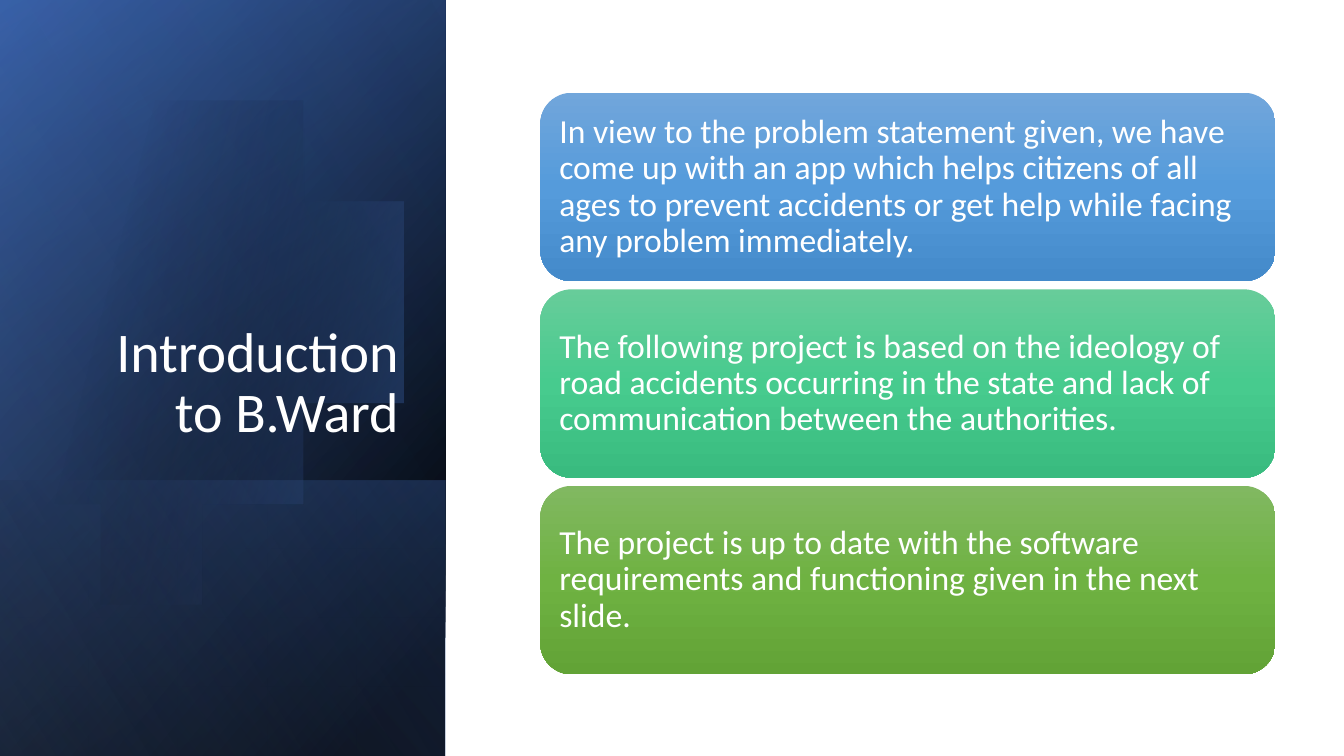
from dataclasses import dataclass
from math import acos, cos, pi, sin

from pptx import Presentation
from pptx.dml.color import RGBColor
from pptx.enum.shapes import MSO_SHAPE as Preset
from pptx.enum.text import MSO_ANCHOR as Anchor, PP_ALIGN as Align
from pptx.oxml import parse_xml
from pptx.oxml.ns import nsdecls
from pptx.shapes.autoshape import Shape
from pptx.slide import Slide
from pptx.util import Inches, Pt

PAGE_WIDTH, PAGE_HEIGHT = 13.33, 7.5
PANEL_WIDTH = 0.3315 * PAGE_WIDTH
CARD_LEFT, CARD_WIDTH = 0.402 * PAGE_WIDTH, 0.547 * PAGE_WIDTH
CARD_TOP, CARD_HEIGHT, CARD_STEP = (
    share * PAGE_HEIGHT for share in (0.1227, 0.2493, 0.26)
)
DISC_X, DISC_Y, DISC_RADIUS = (
    share * PAGE_HEIGHT for share in (0.192, 0.451, 0.304)
)
DISC_STEPS = 120


@dataclass
class Stop:
    position: int
    colour: str
    opacity: int = 100


@dataclass
class Layer:
    """A gradient sheet standing on the bottom edge of the left panel."""
    height_share: float
    angle: int
    stops: list[Stop]


@dataclass
class Card:
    colours: tuple[str, str, str]
    text: str


BACK_LAYERS = [
    Layer(1, 50, [Stop(8, "000000"), Stop(100, "2F5597")]),
    Layer(1, 30, [Stop(0, "000000", 0), Stop(99, "4472C4", 46)]),
    Layer(0.365, 130, [Stop(2, "4472C4", 29), Stop(100, "000000", 30)]),
]
DISC_STOPS = [Stop(29, "000000", 0), Stop(100, "4472C4", 43)]
FRONT_LAYER = Layer(1, 120, [Stop(0, "000000", 0), Stop(99, "8FAADC", 11)])

CARDS = [
    Card(("71A6DB", "559BDB", "448ACA"),
         "In view to the problem statement given, we have come up with an app "
         "which helps citizens of all ages to prevent accidents or get help "
         "while facing any problem immediately."),
    Card(("67CC9A", "47CB8E", "39BB7F"),
         "The following project is based on the ideology of road accidents "
         "occurring in the state and lack of communication between the "
         "authorities."),
    Card(("81B861", "6FB242", "62A336"),
         "The project is up to date with the software requirements and "
         "functioning given in the next slide."),
]


def paint(shape: Shape, stops: list[Stop], angle: float) -> None:
    """Give the shape a linear gradient, no line and no shadow."""
    shape.shadow.inherit = False
    shape.line.fill.background()
    stop_xml = "".join(
        f'<a:gs pos="{stop.position * 1000}"><a:srgbClr val="{stop.colour}">'
        f'<a:alpha val="{stop.opacity * 1000}"/></a:srgbClr></a:gs>'
        for stop in stops
    )
    gradient = parse_xml(
        f'<a:gradFill {nsdecls("a")} rotWithShape="1"><a:gsLst>{stop_xml}'
        f'</a:gsLst><a:lin ang="{round(angle * 60000)}" scaled="0"/></a:gradFill>'
    )
    shape.fill.background()
    properties = shape.element.spPr
    properties.replace(properties.find("{*}noFill"), gradient)


def write(shape: Shape, text: str, *, size: int, anchor: Anchor,
          align: Align = Align.LEFT, inset: float = 0.1,
          colour: str = "FFFFFF") -> None:
    frame = shape.text_frame
    frame.word_wrap = True
    frame.vertical_anchor = anchor
    frame.margin_left = frame.margin_right = Inches(0.1)
    frame.margin_top = frame.margin_bottom = Inches(inset)
    para = frame.paragraphs[0]
    para.alignment = align
    para.line_spacing = 0.9
    span = para.add_run()
    span.text = text
    span.font.name = "Calibri"
    span.font.size = Pt(size)
    span.font.color.rgb = RGBColor.from_string(colour)


def add_layer(page: Slide, layer: Layer) -> None:
    """Add a mirrored rectangle turned by 90 degrees, so its sides swap."""
    length = layer.height_share * PAGE_HEIGHT
    left = (PANEL_WIDTH - length) / 2
    top = PAGE_HEIGHT - (length + PANEL_WIDTH) / 2
    sheet = page.shapes.add_shape(
        Preset.RECTANGLE, Inches(left), Inches(top),
        Inches(length), Inches(PANEL_WIDTH))
    sheet.rotation = 90
    sheet.element.spPr.xfrm.set("flipH", "1")
    paint(sheet, layer.stops, layer.angle)


def add_disc(page: Slide) -> None:
    """Add the circle that the left edge of the slide cuts off."""
    reach = acos(-DISC_X / DISC_RADIUS)
    angles = [reach * (2 * step / DISC_STEPS - 1) for step in range(DISC_STEPS + 1)]
    points = [(DISC_X + DISC_RADIUS * cos(angle), DISC_Y + DISC_RADIUS * sin(angle))
              for angle in angles]
    builder = page.shapes.build_freeform(*points[0], scale=Inches(1))
    builder.add_line_segments(points[1:], close=True)
    paint(builder.convert_to_shape(), DISC_STOPS, 14)


def add_title(page: Slide, text: str) -> None:
    box = page.shapes.add_textbox(
        Inches(0.048 * PAGE_WIDTH), Inches(0.245 * PAGE_HEIGHT),
        Inches(0.256 * PAGE_WIDTH), Inches(0.35 * PAGE_HEIGHT))
    write(box, text, size=40, anchor=Anchor.BOTTOM, align=Align.RIGHT, inset=0.05)


def add_card(page: Slide, card: Card, row: int) -> None:
    box = page.shapes.add_shape(
        Preset.ROUNDED_RECTANGLE, Inches(CARD_LEFT),
        Inches(CARD_TOP + row * CARD_STEP), Inches(CARD_WIDTH), Inches(CARD_HEIGHT))
    paint(box, [Stop(50 * index, colour) for index, colour in enumerate(card.colours)], 90)
    write(box, card.text, size=24, anchor=Anchor.MIDDLE)


def main() -> None:
    deck = Presentation()
    deck.slide_width, deck.slide_height = Inches(PAGE_WIDTH), Inches(PAGE_HEIGHT)
    page = deck.slides.add_slide(deck.slide_layouts[6])
    for layer in BACK_LAYERS:
        add_layer(page, layer)
    add_disc(page)
    add_layer(page, FRONT_LAYER)
    add_title(page, "Introduction to B.Ward")
    for row, card in enumerate(CARDS):
        add_card(page, card, row)
    deck.save("out.pptx")


if __name__ == "__main__":
    main()
